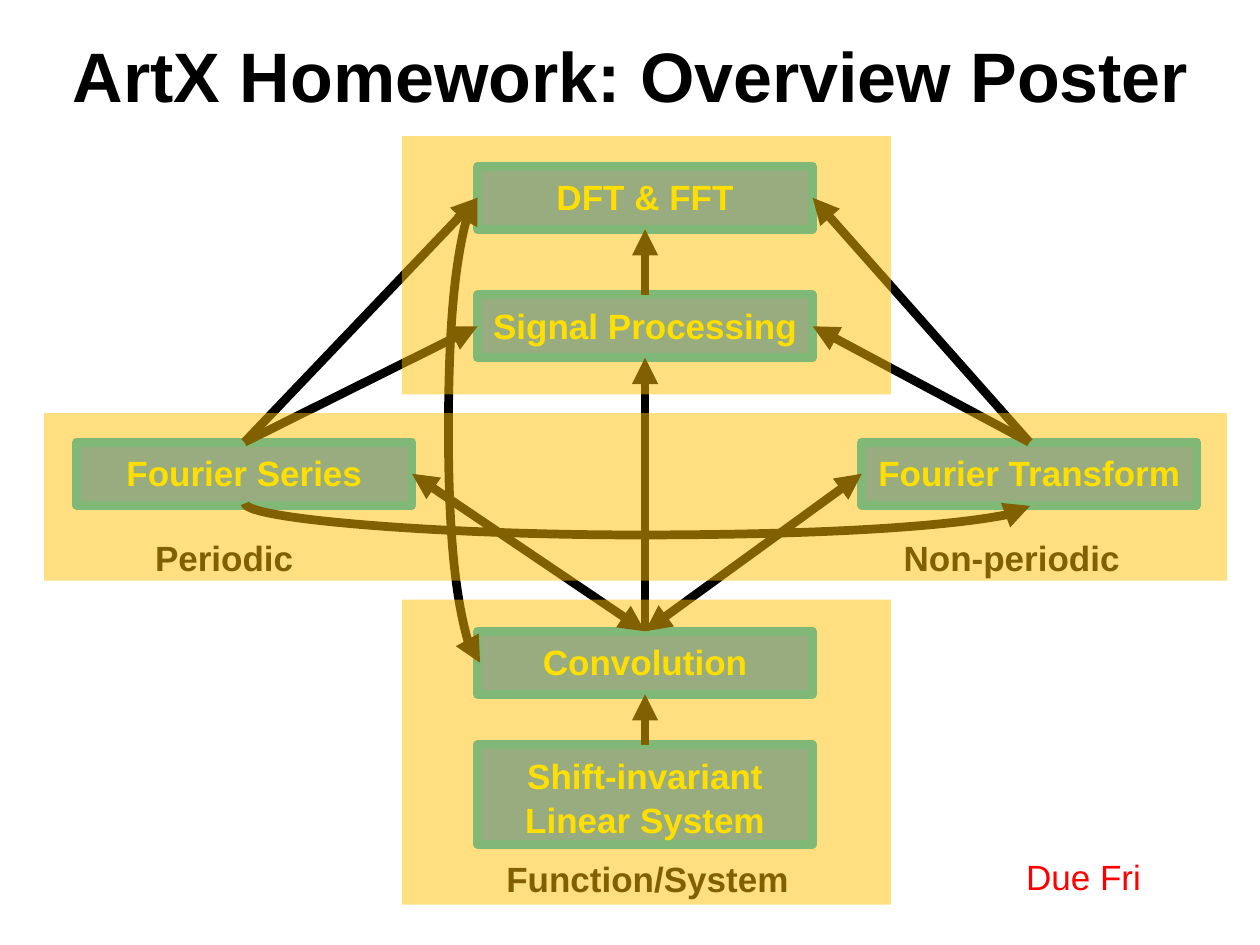
from typing import NamedTuple

from lxml.etree import SubElement
from pptx import Presentation
from pptx.dml.color import RGBColor
from pptx.enum.shapes import MSO_CONNECTOR as Link, MSO_SHAPE as Shape
from pptx.enum.text import MSO_ANCHOR as Anchor, PP_ALIGN as Align
from pptx.oxml.ns import qn
from pptx.util import Inches, Pt

BLACK = RGBColor(0x00, 0x00, 0x00)
RED = RGBColor(0xFF, 0x00, 0x00)
YELLOW = RGBColor(0xFF, 0xFF, 0x00)
BLUE = RGBColor(0x33, 0x99, 0xFF)
CYAN = RGBColor(0x00, 0xB0, 0xF0)
AMBER = RGBColor(0xFF, 0xC0, 0x00)
TOP, LEFT, BOTTOM, RIGHT = range(4)
WIDE, HIGH, MID = 2.66, 0.5, 3.79


class Box(NamedTuple):
    text: str
    x: float
    y: float
    high: float = HIGH


class Arrow(NamedTuple):
    start: str
    out: int
    end: str
    into: int
    both: bool = False


class Curve(NamedTuple):
    x1: float
    y1: float
    x2: float
    y2: float
    turn: int = 0
    both: bool = False


class Label(NamedTuple):
    text: str
    x: float
    y: float
    color: RGBColor = BLACK
    bold: bool = True


class Zone(NamedTuple):
    x: float
    y: float
    wide: float
    high: float


BOXES = {
    "system": Box("Shift-invariant Linear System", MID, 5.91, 0.79),
    "conv": Box("Convolution", MID, 5.01),
    "series": Box("Fourier Series", 0.61, 3.51),
    "trans": Box("Fourier Transform", 6.84, 3.51),
    "signal": Box("Signal Processing", MID, 2.34),
    "dft": Box("DFT & FFT", MID, 1.32),
}
ARROWS = [
    Arrow("series", TOP, "signal", LEFT),
    Arrow("trans", TOP, "signal", RIGHT),
    Arrow("conv", TOP, "signal", BOTTOM),
    Arrow("system", TOP, "conv", BOTTOM),
    Arrow("series", TOP, "dft", LEFT),
    Arrow("trans", TOP, "dft", RIGHT),
    Arrow("signal", TOP, "dft", BOTTOM),
    Arrow("trans", LEFT, "conv", TOP, True),
    Arrow("series", RIGHT, "conv", TOP, True),
]
CURVES = [
    Curve(3.81, 5.26, 3.79, 1.57, both=True),
    Curve(5.07, 0.89, 5.05, 7.12, turn=270),
]
LABELS = [
    Label("Periodic", 0.45, 4.18),
    Label("Non-periodic", 6.7, 4.18),
    Label("Function/System", 3.81, 6.73),
]
ZONES = [
    Zone(3.19, 1.08, 3.88, 2.05),
    Zone(3.19, 4.76, 3.88, 2.42),
    Zone(0.35, 3.28, 9.39, 1.33),
]
DUE = Label("Due Fri", 7.27, 6.71, RED, False)


def write(shape, text: str, color: RGBColor, size: int = 20, bold: bool = True,
          space: float = 1.05, anchor=Anchor.TOP) -> None:
    frame = shape.text_frame
    frame.word_wrap = True
    frame.vertical_anchor = anchor
    frame.margin_top = Inches(0.06)
    frame.margin_bottom = Inches(0.06)
    para = frame.paragraphs[0]
    para.text = text
    para.alignment = Align.CENTER
    para.line_spacing = space
    font = para.font
    font.name, font.size, font.bold = "Arial", Pt(size), bold
    font.color.rgb = color


def add_rect(slide, x: float, y: float, wide: float, high: float, fill: RGBColor):
    rect = slide.shapes.add_shape(
        Shape.RECTANGLE, Inches(x), Inches(y), Inches(wide), Inches(high))
    rect.shadow.inherit = False
    rect.fill.solid()
    rect.fill.fore_color.rgb = fill
    return rect


def add_box(slide, box: Box):
    rect = add_rect(slide, box.x, box.y, WIDE, box.high, BLUE)
    rect.line.color.rgb = CYAN
    rect.line.width = Pt(5)
    write(rect, box.text, YELLOW)
    return rect


def add_zone(slide, zone: Zone) -> None:
    rect = add_rect(slide, *zone, AMBER)
    rect.line.fill.background()
    tint = rect.fill._xPr.find(qn("a:solidFill"))[0]
    SubElement(tint, qn("a:alpha"), val="50000")


def add_label(slide, label: Label) -> None:
    area = slide.shapes.add_textbox(
        Inches(label.x), Inches(label.y), Inches(WIDE), Inches(HIGH))
    write(area, label.text, label.color, bold=label.bold)


def style(link, both: bool) -> None:
    link.line.color.rgb = BLACK
    link.line.width = Pt(5)
    line = link.line._get_or_add_ln()
    for end in ("headEnd", "tailEnd") if both else ("tailEnd",):
        SubElement(line, qn(f"a:{end}"), type="triangle")
    SubElement(link._element.spPr, qn("a:effectLst"))


def add_arrow(slide, arrow: Arrow, rects: dict) -> None:
    link = slide.shapes.add_connector(Link.STRAIGHT, 0, 0, 0, 0)
    link.begin_connect(rects[arrow.start], arrow.out)
    link.end_connect(rects[arrow.end], arrow.into)
    style(link, arrow.both)


def add_curve(slide, curve: Curve, bulge: float = 0.25) -> None:
    ends = [Inches(value) for value in curve[:4]]
    link = slide.shapes.add_connector(Link.CURVE, *ends)
    props = link._element.spPr
    if curve.turn:
        props.find(qn("a:xfrm")).set("rot", str(curve.turn * 60000))
    ratio = round(bulge / abs(curve.x2 - curve.x1) * 100000)
    guides = props.find(qn("a:prstGeom")).find(qn("a:avLst"))
    SubElement(guides, qn("a:gd"), name="adj1", fmla=f"val {ratio}")
    style(link, curve.both)


def main() -> None:
    """Build the overview poster slide."""
    deck = Presentation()
    deck.slide_width, deck.slide_height = Inches(10), Inches(7.5)
    slide = deck.slides.add_slide(deck.slide_layouts[6])
    title = slide.shapes.add_textbox(
        Inches(0.17), Inches(0.17), Inches(9.67), Inches(0.92))
    write(title, "ArtX Homework: Overview Poster", BLACK, 40,
          space=0.9, anchor=Anchor.MIDDLE)
    rects = {key: add_box(slide, box) for key, box in BOXES.items()}
    for arrow in ARROWS:
        add_arrow(slide, arrow, rects)
    for curve in CURVES:
        add_curve(slide, curve)
    for label in LABELS:
        add_label(slide, label)
    for zone in ZONES:
        add_zone(slide, zone)
    add_label(slide, DUE)
    deck.save("out.pptx")


if __name__ == "__main__":
    main()
